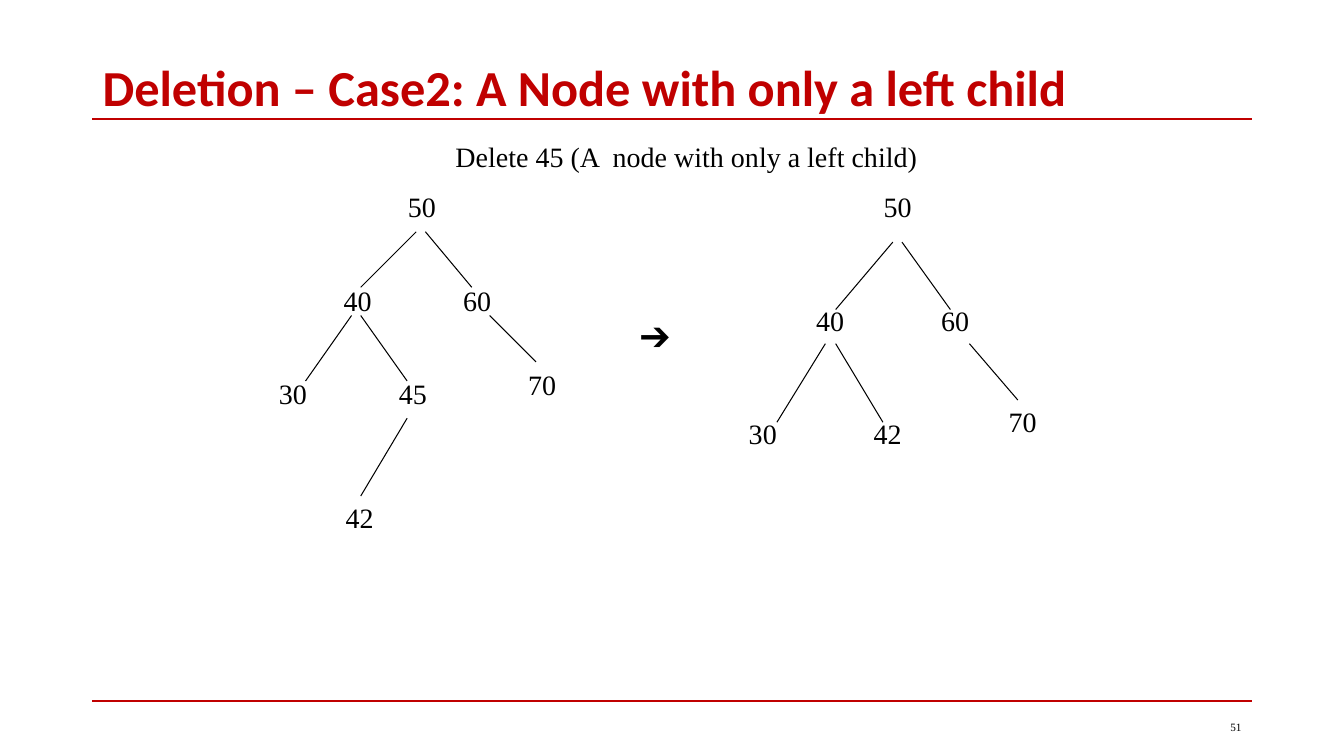
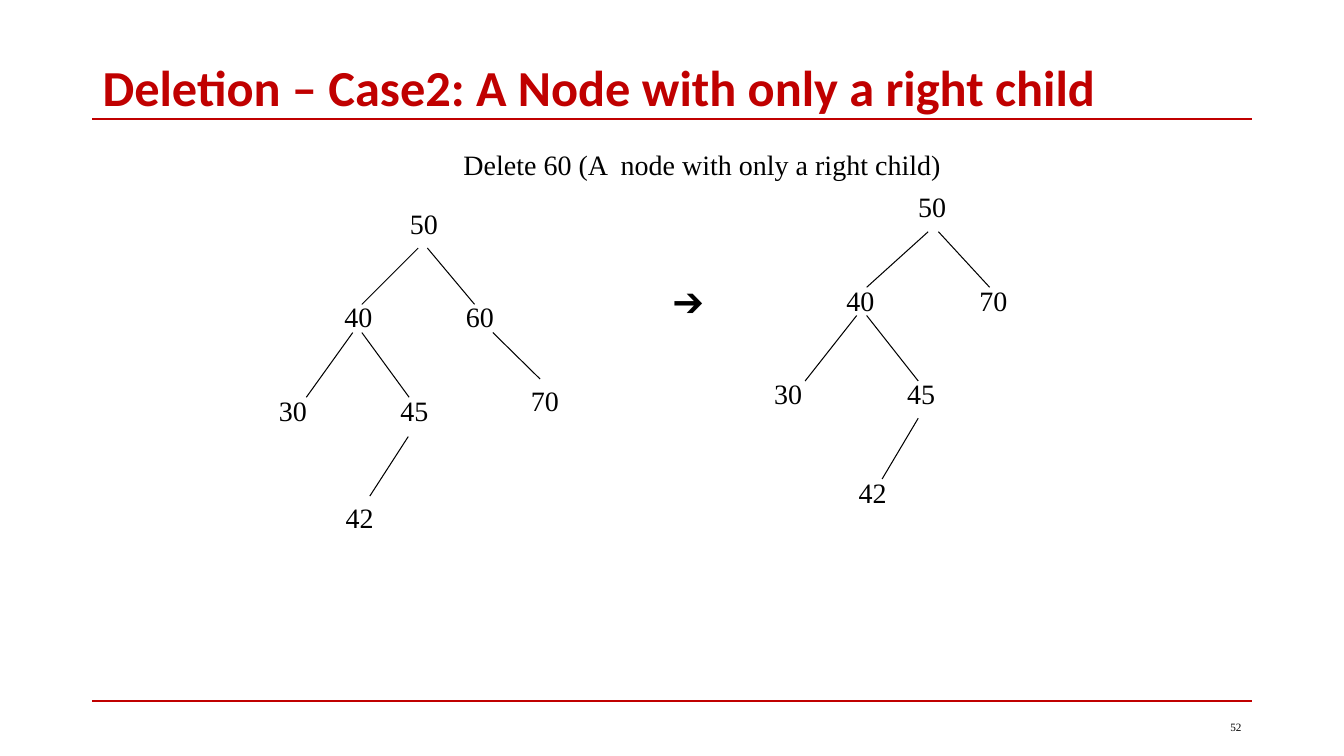
from pptx import Presentation
from pptx import util as u
from pptx.dml.color import RGBColor
from pptx.enum import shapes, text
from pptx.oxml import parse_xml
from pptx.oxml.ns import nsdecls

COLORS = {"accent": "C00000", "ink": "000000"}
TITLE_FONT = "Calibri"
BODY_FONT = "Times New Roman"
TITLE_ONLY = 5
MARGIN, CONTENT_WIDTH = 2.33, 29.21
RULE_TOPS = (3, 17.66)
NODE_SIZE = (1.22, 1.1)
CAPTION_SIZE = (13, 1.1)


class Lesson:
    def __init__(self):
        self.deck = Presentation()
        self.deck.slide_width = u.Cm(33.87)
        self.deck.slide_height = u.Cm(19.05)
        self.page = None

    def start_page(self, title, number):
        self.page = self.deck.slides.add_slide(self.deck.slide_layouts[TITLE_ONLY])
        self.title(title)
        self.page_number(number)

    def share_rules(self):
        master = self.deck.slide_master.shapes.element
        for top in RULE_TOPS:
            rule = self.line(MARGIN, top, MARGIN + CONTENT_WIDTH, top, "accent", 1.5)
            master.append(rule.element)

    def style(self, para, size, font=BODY_FONT, color="ink", bold=False):
        for span in para.runs:
            span.font.name = font
            span.font.size = u.Pt(size)
            span.font.bold = bold
            span.font.color.rgb = RGBColor.from_string(COLORS[color])

    def title(self, words):
        box = self.page.shapes.title
        box.left, box.top = u.Cm(MARGIN), u.Cm(1.55)
        box.width, box.height = u.Cm(CONTENT_WIDTH), u.Cm(1.47)
        frame = box.text_frame
        frame.text = words
        frame.auto_size = text.MSO_AUTO_SIZE.NONE
        frame.vertical_anchor = text.MSO_ANCHOR.MIDDLE
        para = frame.paragraphs[0]
        para.alignment = text.PP_ALIGN.LEFT
        para.line_spacing = 0.9
        self.style(para, 36, TITLE_FONT, "accent", True)

    def label(self, words, left, top, width, height, size=20):
        box = self.page.shapes.add_textbox(u.Cm(left), u.Cm(top), u.Cm(width), u.Cm(height))
        box.text_frame.text = words
        box.text_frame.word_wrap = False
        self.style(box.text_frame.paragraphs[0], size)
        return box

    def caption(self, words, left, top):
        self.label(words, left, top, *CAPTION_SIZE)

    def page_number(self, number):
        frame = self.label(str(number), 23.92, 17.8, 7.62, 1.02, 8).text_frame
        frame.word_wrap = True
        frame.vertical_anchor = text.MSO_ANCHOR.MIDDLE
        frame.paragraphs[0].alignment = text.PP_ALIGN.RIGHT

    def line(self, x1, y1, x2, y2, color="ink", weight=0.75):
        line = self.page.shapes.add_connector(
            shapes.MSO_CONNECTOR.STRAIGHT, u.Cm(x1), u.Cm(y1), u.Cm(x2), u.Cm(y2))
        line.line.color.rgb = RGBColor.from_string(COLORS[color])
        line.line.width = u.Pt(weight)
        line.element.spPr.append(parse_xml(f"<a:effectLst {nsdecls('a')}/>"))
        return line

    def tree(self, nodes, edges):
        for edge in edges:
            self.line(*edge)
        for value, (left, top) in nodes.items():
            self.label(str(value), left, top, *NODE_SIZE)

    def arrow(self, left, top):
        self.label("➔", left, top, 1.42, 1.27, 24)


LEFT_CHILD_BEFORE = (
    {50: (10.03, 4.65), 40: (8.41, 7.01), 60: (11.42, 7.01), 30: (6.78, 9.36),
     45: (9.8, 9.36), 70: (13.06, 9.13), 42: (8.46, 12.49)},
    [(10.49, 5.84, 9.09, 7.24), (10.72, 5.84, 11.89, 7.24),
     (8.86, 7.95, 7.7, 9.6), (9.09, 7.95, 10.26, 9.6),
     (12.34, 7.95, 13.51, 9.12), (10.26, 10.54, 9.09, 12.5)],
)
LEFT_CHILD_AFTER = (
    {50: (22.02, 4.65), 40: (20.32, 7.52), 60: (23.47, 7.52),
     30: (18.62, 10.36), 42: (21.77, 10.36), 70: (25.17, 10.08)},
    [(22.5, 6.1, 21.06, 7.8), (22.73, 6.1, 23.95, 7.8),
     (20.8, 8.66, 19.58, 10.64), (21.06, 8.66, 22.25, 10.64),
     (24.43, 8.66, 25.65, 10.08)],
)
RIGHT_CHILD_BEFORE = (
    {50: (10.08, 5.08), 40: (8.43, 7.43), 60: (11.49, 7.43), 30: (6.78, 9.78),
     45: (9.84, 9.78), 70: (13.13, 9.55), 42: (8.46, 12.49)},
    [(10.54, 6.25, 9.12, 7.67), (10.77, 6.25, 11.96, 7.67),
     (8.89, 8.38, 7.72, 10.01), (9.12, 8.38, 10.31, 10.01),
     (12.42, 8.38, 13.61, 9.55), (10.29, 11, 9.32, 12.5)],
)
RIGHT_CHILD_AFTER = (
    {50: (22.89, 4.65), 40: (21.08, 7.01), 70: (24.43, 7.01),
     30: (19.26, 9.36), 45: (22.61, 9.36), 42: (21.39, 11.86)},
    [(23.39, 5.84, 21.84, 7.24), (23.65, 5.84, 24.94, 7.24),
     (21.59, 7.95, 20.29, 9.6), (21.84, 7.95, 23.14, 9.6),
     (23.14, 10.54, 22.23, 12.07)],
)


def main():
    lesson = Lesson()

    lesson.start_page("Deletion – Case2: A Node with only a left child", 51)
    lesson.share_rules()
    lesson.caption("Delete 45 (A  node with only a left child)", 11.23, 3.38)
    lesson.tree(*LEFT_CHILD_BEFORE)
    lesson.arrow(15.88, 7.83)
    lesson.tree(*LEFT_CHILD_AFTER)

    lesson.start_page("Deletion – Case2: A Node with only a right child", 52)
    lesson.caption("Delete 60 (A  node with only a right child)", 11.43, 3.6)
    lesson.tree(*RIGHT_CHILD_BEFORE)
    lesson.arrow(16.72, 6.98)
    lesson.tree(*RIGHT_CHILD_AFTER)

    lesson.deck.save("out.pptx")


if __name__ == "__main__":
    main()
